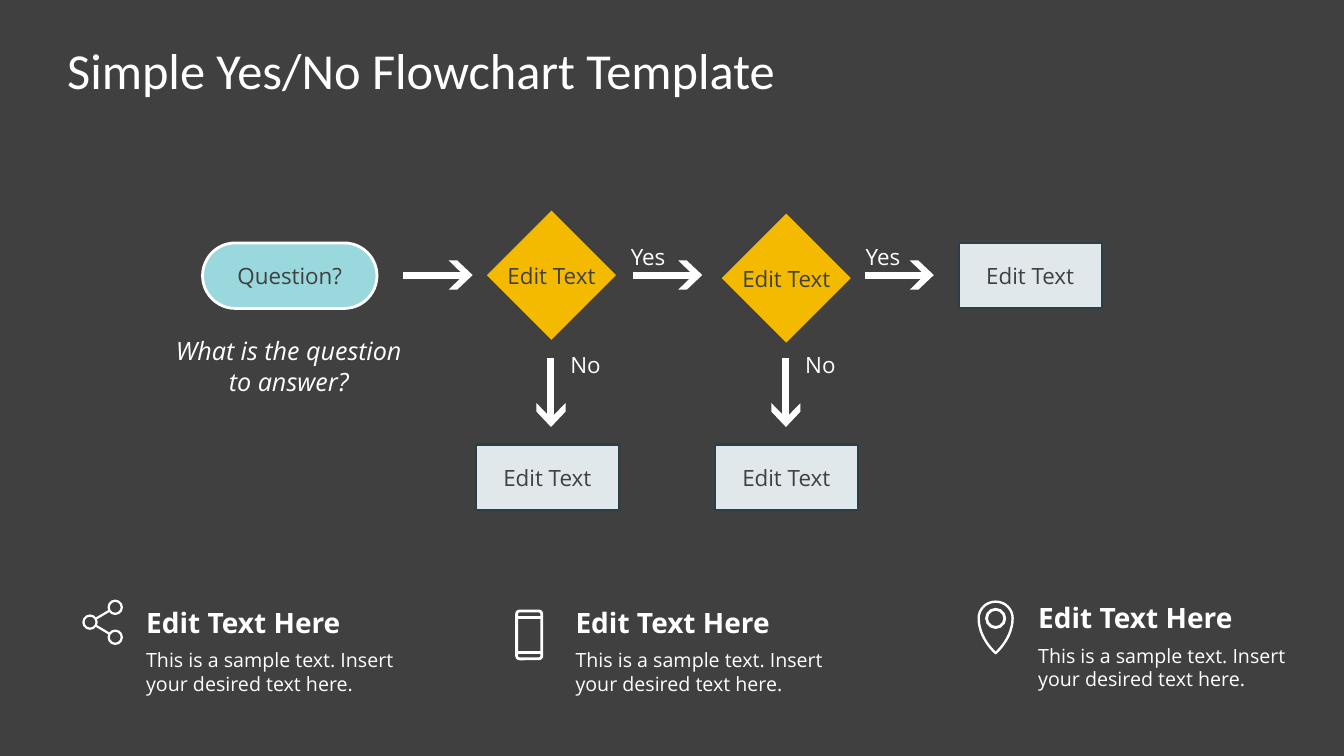
from lxml import etree
from pptx import Presentation
from pptx.dml.color import RGBColor
from pptx.enum.shapes import MSO_CONNECTOR, MSO_SHAPE
from pptx.enum.text import MSO_ANCHOR, MSO_AUTO_SIZE, PP_ALIGN
from pptx.oxml.ns import qn
from pptx.util import Pt

LEFT, CENTER = PP_ALIGN.LEFT, PP_ALIGN.CENTER
TOP, MIDDLE, BOTTOM = MSO_ANCHOR.TOP, MSO_ANCHOR.MIDDLE, MSO_ANCHOR.BOTTOM
GROW = MSO_AUTO_SIZE.SHAPE_TO_FIT_TEXT
FIXED = MSO_AUTO_SIZE.NONE
PILL, PHONE_BODY = MSO_SHAPE.ROUNDED_RECTANGLE, MSO_SHAPE.ROUNDED_RECTANGLE
DECISION, PROCESS = MSO_SHAPE.FLOWCHART_DECISION, MSO_SHAPE.FLOWCHART_PROCESS
RECTANGLE, OVAL = MSO_SHAPE.RECTANGLE, MSO_SHAPE.OVAL
STRAIGHT = MSO_CONNECTOR.STRAIGHT

COLORS = {
    "background": "404040",
    "white": "FFFFFF",
    "question": "99D8DD",
    "decision": "F4BA00",
    "process": "E0E8EB",
    "border": "2D3F46",
}


def write_text(shape, text, size=16, color="white", font="Open Sans", bold=False,
               italic=False, align=LEFT, anchor=TOP, margins=(7.2, 3.6),
               wrap=True, auto_size=FIXED):
    frame = shape.text_frame
    frame.auto_size = auto_size
    frame.word_wrap = wrap
    frame.vertical_anchor = anchor
    frame.margin_left = frame.margin_right = Pt(margins[0])
    frame.margin_top = frame.margin_bottom = Pt(margins[1])
    paragraph = frame.paragraphs[0]
    paragraph.alignment = align
    run = paragraph.add_run()
    run.text = text
    run.font.name = font
    run.font.size = Pt(size)
    run.font.bold = bold
    run.font.italic = italic
    run.font.color.rgb = RGBColor.from_string(COLORS[color])


def style_shape(shape, fill=None, line=None, width=1):
    shape.shadow.inherit = False
    if fill:
        shape.fill.solid()
        shape.fill.fore_color.rgb = RGBColor.from_string(COLORS[fill])
    else:
        shape.fill.background()
    if line:
        shape.line.color.rgb = RGBColor.from_string(COLORS[line])
        shape.line.width = Pt(width)
    else:
        shape.line.fill.background()


presentation = Presentation()
presentation.slide_width = Pt(960)
presentation.slide_height = Pt(540)
slide = presentation.slides.add_slide(presentation.slide_layouts[6])
slide.background.fill.solid()
slide.background.fill.fore_color.rgb = RGBColor.from_string(COLORS["background"])
shapes = slide.shapes

title = shapes.add_textbox(Pt(48), Pt(21.6), Pt(864), Pt(56.2))
write_text(title, "Simple Yes/No Flowchart Template", size=36, font="Calibri",
           anchor=MIDDLE, margins=(0, 0))

question = shapes.add_shape(PILL, Pt(144.7), Pt(173.5), Pt(124.6), Pt(46.8))
question.adjustments[0] = 0.5
style_shape(question, "question", "white", 2)
write_text(question, "Question?", color="background", align=CENTER, anchor=MIDDLE)

prompt = shapes.add_textbox(Pt(113.8), Pt(236.2), Pt(185), Pt(51.1))
write_text(prompt, "What is the question to answer?", size=18, italic=True,
           align=CENTER, auto_size=GROW)

for left, top in [(347.8, 150.5), (515.5, 152.6)]:
    decision = shapes.add_shape(DECISION, Pt(left), Pt(top), Pt(92.2), Pt(92.2))
    style_shape(decision, "decision")
    write_text(decision, "Edit Text", color="background", align=CENTER,
               anchor=MIDDLE, margins=(0, 0), wrap=False)

for left, top in [(339.8, 317.5), (510.5, 317.5), (684.7, 173.5)]:
    process = shapes.add_shape(PROCESS, Pt(left), Pt(top), Pt(102.2), Pt(46.8))
    style_shape(process, "process", "border", 1.5)
    write_text(process, "Edit Text", color="background", align=CENTER, anchor=MIDDLE)

for text, left, top in [("Yes", 443.5, 169.9), ("Yes", 611.3, 169.9),
                        ("No", 400.3, 247), ("No", 568.1, 247)]:
    label = shapes.add_textbox(Pt(left), Pt(top), Pt(79.2), Pt(26.6))
    write_text(label, text, auto_size=GROW)

bar_corners = [(0, -2.5), (44, -2.5), (44, 2.5), (0, 2.5)]
head_corners = [(49.4, 0), (38.4, 10.4), (32.3, 10.4), (42.3, 0.7),
                (42.3, -0.7), (32.3, -10.4), (38.4, -10.4)]
for start_x, start_y, vertical in [(288.2, 196.5, False), (452.2, 196.5, False),
                                   (617.6, 196.5, False), (393.6, 255.6, True),
                                   (561.4, 255.6, True)]:
    arrow = shapes.add_group_shape()
    for corners in (bar_corners, head_corners):
        points = [(Pt(start_x + (across if vertical else along)),
                   Pt(start_y + (along if vertical else across)))
                  for along, across in corners]
        builder = arrow.shapes.build_freeform(*points[0])
        builder.add_line_segments(points[1:], close=True)
        style_shape(builder.convert_to_shape(), "white")

for left, top in [(104.4, 432), (411.1, 432), (741.6, 428.8)]:
    heading = shapes.add_textbox(Pt(left), Pt(top), Pt(184.3), Pt(24.5))
    write_text(heading, "Edit Text Here", size=20, bold=True, anchor=BOTTOM,
               margins=(0, 0), auto_size=GROW)
    body = shapes.add_textbox(Pt(left), Pt(top + 30.8), Pt(184.3), Pt(33.8))
    write_text(body, "This is a sample text. Insert your desired text here.",
               size=14, margins=(0, 0), auto_size=GROW)

share_hub = (64.3, 444.4)
share_ends = [(82.3, 433.8), (82.3, 455.2)]
pin_x, pin_eye_y = 711.2, 441.7
rings = [(x, y, 4.7, 1.6) for x, y in [share_hub, *share_ends]]
rings.append((pin_x, pin_eye_y, 6.5, 2))
for x, y, radius, width in rings:
    ring = shapes.add_shape(OVAL, Pt(x - radius), Pt(y - radius),
                            Pt(2 * radius), Pt(2 * radius))
    style_shape(ring, line="white", width=width)

phone = shapes.add_shape(PHONE_BODY, Pt(369), Pt(436.4), Pt(18), Pt(34.2))
phone.adjustments[0] = 0.12
style_shape(phone, line="white", width=2)

icon_lines = [(369, y, 387, y, 2) for y in (441, 465.8)]
for end_x, end_y in share_ends:
    run_x, run_y = end_x - share_hub[0], end_y - share_hub[1]
    icon_lines.append((share_hub[0] + 0.23 * run_x, share_hub[1] + 0.23 * run_y,
                       share_hub[0] + 0.77 * run_x, share_hub[1] + 0.77 * run_y, 1.6))
for x1, y1, x2, y2, width in icon_lines:
    connector = shapes.add_connector(STRAIGHT, Pt(x1), Pt(y1), Pt(x2), Pt(y2))
    connector.line.color.rgb = RGBColor.from_string(COLORS["white"])
    connector.line.width = Pt(width)
    etree.SubElement(connector.element.spPr, qn("a:effectLst"))

pin_curves = [
    [(0, 429.8), (6.7, 429.8), (12.1, 435.1), (12.1, 441.6)],
    [(12.1, 441.6), (12.1, 455), (2.1, 464.6), (0, 466.6)],
]
pin_side = []
for curve in pin_curves:
    for step in range(12):
        t = step / 12
        weights = [(1 - t) ** 3, 3 * t * (1 - t) ** 2, 3 * t ** 2 * (1 - t), t ** 3]
        pin_side.append([sum(weight * point[axis] for weight, point in zip(weights, curve))
                         for axis in (0, 1)])
pin_side.append(pin_curves[1][3])
pin_points = [(Pt(pin_x + x), Pt(y)) for x, y in pin_side]
pin_points += [(Pt(pin_x - x), Pt(y)) for x, y in pin_side[-2:0:-1]]
pin_builder = shapes.build_freeform(*pin_points[0])
pin_builder.add_line_segments(pin_points[1:], close=True)
style_shape(pin_builder.convert_to_shape(), line="white", width=1.7)

presentation.save("out.pptx")
